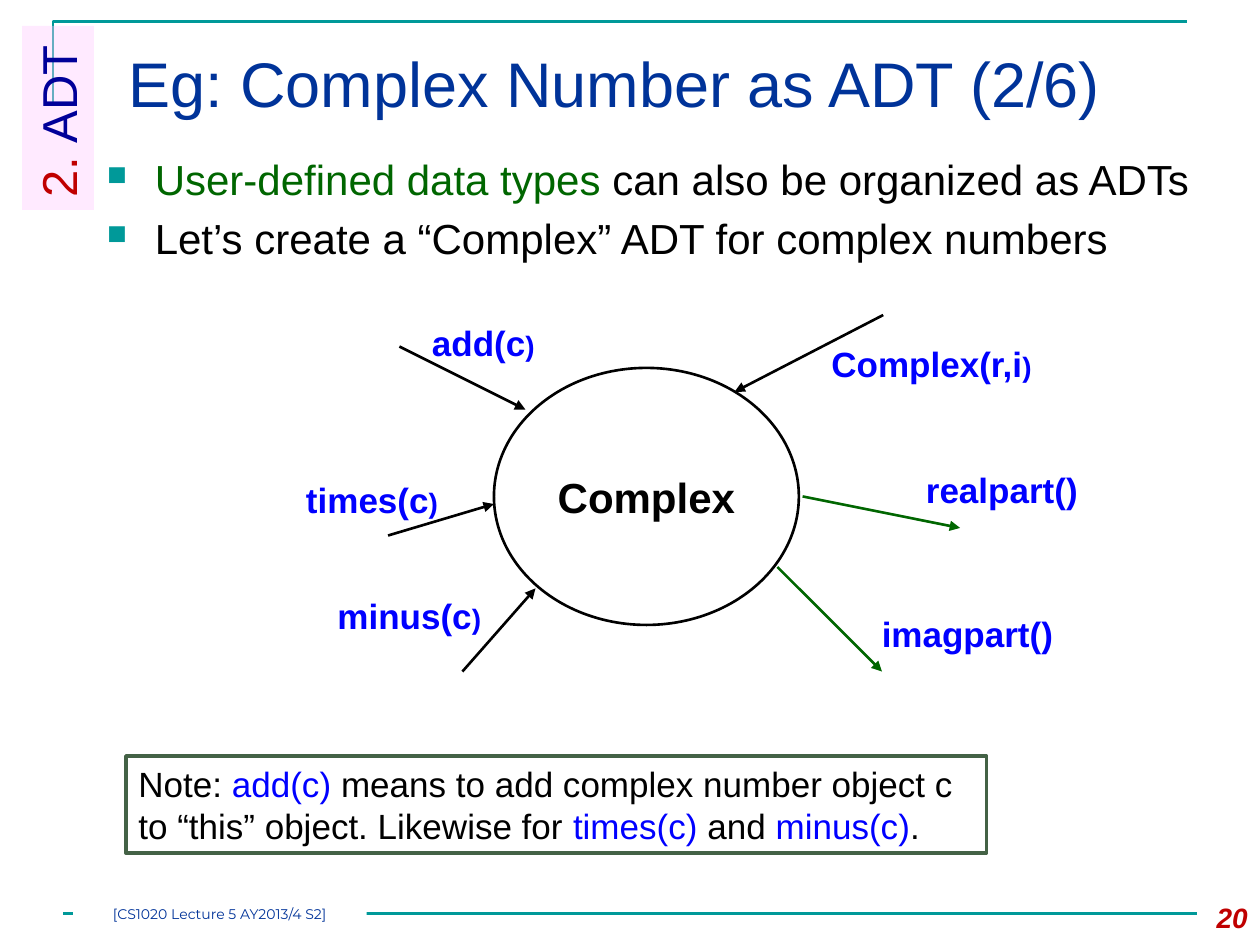
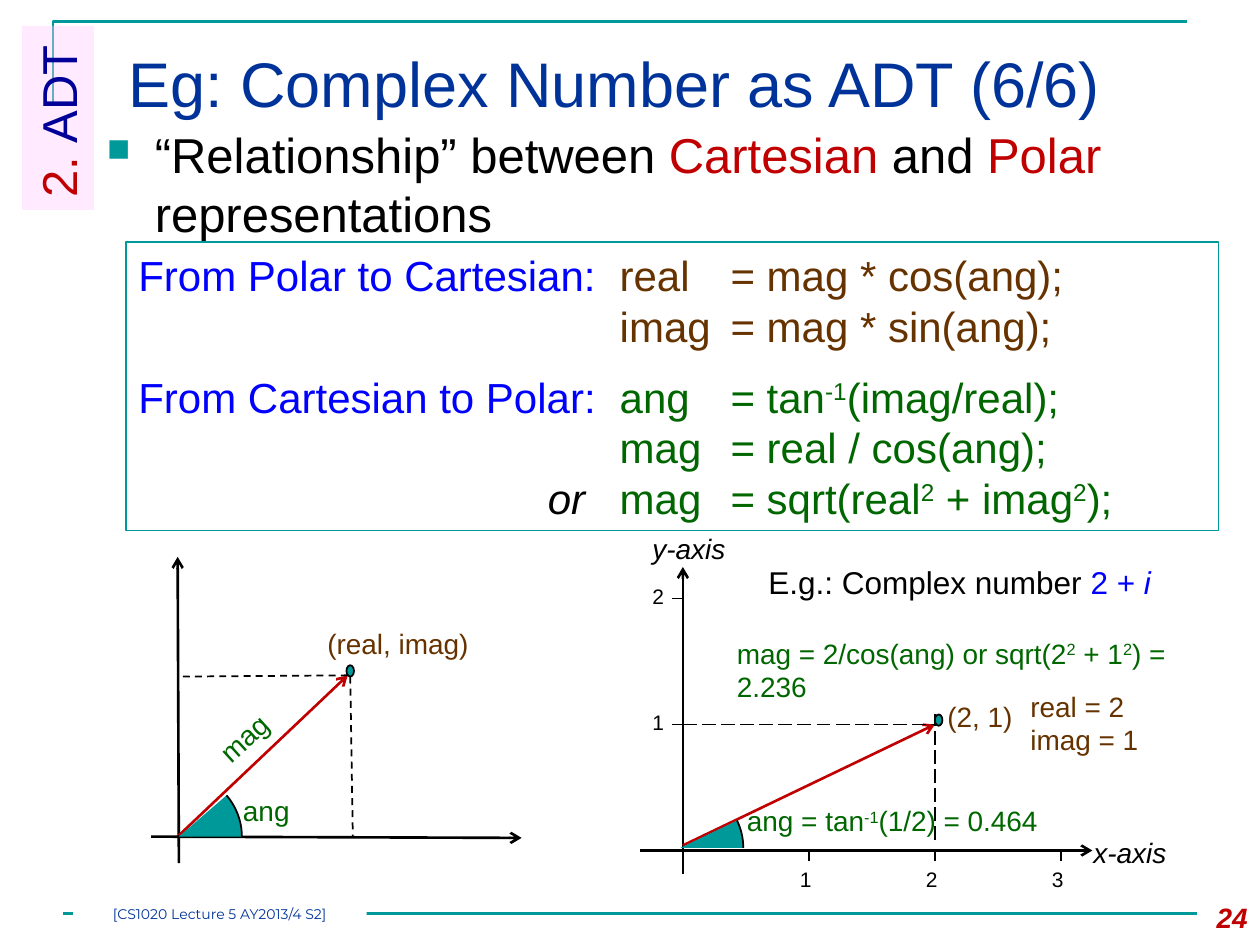
from lxml.etree import SubElement
from pptx import Presentation
from pptx.dml.color import RGBColor
from pptx.enum.dml import MSO_LINE
from pptx.enum.shapes import MSO_CONNECTOR, MSO_SHAPE
from pptx.enum.text import MSO_ANCHOR, MSO_AUTO_SIZE, PP_ALIGN
from pptx.oxml.ns import qn
from pptx.util import Inches, Pt

color = RGBColor.from_string
TEAL, NAVY, BLUE, RED = "009999", "003399", "0000FF", "C00000"
GREEN, BROWN, BLACK, WHITE = "006600", "663300", "000000", "FFFFFF"


def add_text(slide, box, paragraphs, size=16, ink=BLACK, font="Arial", bold=False,
             italic=False, align=PP_ALIGN.LEFT, anchor=MSO_ANCHOR.TOP, wrap=True,
             inset=None, rotation=0, shape_type=None, fill=None, alpha=None,
             outline=None, outline_width=1, bullet=None, tabs=(), space_before=0):
    """Paragraphs are a string or lists of (text, overrides) runs."""
    lengths = [Inches(value) for value in box]
    if shape_type is None:
        shape = slide.shapes.add_textbox(*lengths)
    else:
        shape = slide.shapes.add_shape(shape_type, *lengths)
        shape.shadow.inherit = False
        if fill:
            shape.fill.solid()
            shape.fill.fore_color.rgb = color(fill)
            if alpha:
                hue = shape.fill._xPr.find(".//" + qn("a:srgbClr"))
                SubElement(hue, qn("a:alpha"), val=str(alpha * 1000))
        else:
            shape.fill.background()
        if outline:
            shape.line.color.rgb = color(outline)
            shape.line.width = Pt(outline_width)
        else:
            shape.line.fill.background()
    shape.rotation = rotation

    frame = shape.text_frame
    frame.word_wrap = wrap
    frame.vertical_anchor = anchor
    if not wrap:
        frame.auto_size = MSO_AUTO_SIZE.SHAPE_TO_FIT_TEXT
    if inset is not None:
        frame.margin_left = frame.margin_right = Inches(inset)
        frame.margin_top = frame.margin_bottom = Inches(inset)

    if isinstance(paragraphs, str):
        paragraphs = [[(paragraphs, {})]]
    for index, runs in enumerate(paragraphs):
        paragraph = frame.paragraphs[0] if index == 0 else frame.add_paragraph()
        paragraph.alignment = align
        # A run list may open with a number: the space before, in points
        gap = space_before
        if not isinstance(runs[0], tuple):
            gap, *runs = runs
        paragraph.space_before = Pt(gap if index else 0)
        properties = paragraph._p.get_or_add_pPr()
        if bullet:
            properties.set("marL", str(Inches(0.38)))
            properties.set("indent", str(-Inches(0.38)))
            bullet_color = SubElement(properties, qn("a:buClr"))
            SubElement(bullet_color, qn("a:srgbClr"), val=TEAL)
            SubElement(properties, qn("a:buSzPct"), val="65000")
            SubElement(properties, qn("a:buChar"), char=bullet)
        if tabs:
            tab_list = SubElement(properties, qn("a:tabLst"))
            for stop in tabs[index]:
                SubElement(tab_list, qn("a:tab"), pos=str(Inches(stop)), algn="l")
        for text, overrides in runs:
            run = paragraph.add_run()
            run.text = text
            run.font.name = font
            run.font.size = Pt(overrides.get("size", size))
            run.font.bold = bold
            run.font.italic = overrides.get("italic", italic)
            run.font.color.rgb = color(overrides.get("ink", ink))
            if overrides.get("superscript"):
                run._r.get_or_add_rPr().set("baseline", "30000")
    return shape


def add_line(slide, start, end, ink=BLACK, width=1.5, head=None, dash=None):
    line = slide.shapes.add_connector(
        MSO_CONNECTOR.STRAIGHT, *[Inches(value) for value in (*start, *end)])
    line.line.color.rgb = color(ink)
    line.line.width = Pt(width)
    if dash:
        line.line.dash_style = dash
    if head:
        SubElement(line.line._get_or_add_ln(), qn("a:tailEnd"), type=head)
    SubElement(line._element.spPr, qn("a:effectLst"))


presentation = Presentation()
presentation.slide_width, presentation.slide_height = Inches(10), Inches(7.5)

# Frame, title, footer and section tab shared by both slides
slides = []
for part, number in (("2/6", "20"), ("6/6", "24")):
    slide = presentation.slides.add_slide(presentation.slide_layouts[6])
    slides.append(slide)
    builder = slide.shapes.build_freeform(Inches(0.42), Inches(0.83))
    builder.add_line_segments(
        [(Inches(0.42), Inches(0.17)), (Inches(9.42), Inches(0.17))], close=False)
    corner = builder.convert_to_shape()
    corner.shadow.inherit = False
    corner.fill.background()
    corner.line.color.rgb = color(TEAL)
    corner.line.width = Pt(1.5)
    add_line(slide, (0.5, 7.25), (9.5, 7.25), ink=TEAL)
    add_text(slide, (0.92, 0.25, 8.83, 0.8), f"Eg: Complex Number as ADT ({part})",
             size=36, ink=NAVY, anchor=MSO_ANCHOR.MIDDLE)
    add_text(slide, (0.58, 7.17, 2.33, 0.17), "[CS1020 Lecture 5 AY2013/4 S2]",
             size=8, ink=NAVY, font="Montserrat", align=PP_ALIGN.CENTER, inset=0,
             anchor=MSO_ANCHOR.MIDDLE, shape_type=MSO_SHAPE.RECTANGLE, fill=WHITE)
    add_text(slide, (9.33, 7.1, 0.67, 0.4), number, ink=RED, bold=True, italic=True,
             align=PP_ALIGN.RIGHT)
    add_text(slide, (-0.27, 0.65, 1.46, 0.57),
             [[("2. ", {"ink": RED}), ("ADT", {"ink": "000099"})]], size=28,
             rotation=270, shape_type=MSO_SHAPE.RECTANGLE, fill="FFCCFF", alpha=40)
operations_slide, conversion_slide = slides

# Operations: bullets and note
slide = operations_slide
add_text(slide, (0.75, 1.17, 8.92, 1.17), [
    [("User-defined data types ", {"ink": GREEN}), ("can also be organized as ADTs", {})],
    [("Let’s create a “Complex” ADT for complex numbers", {})],
], size=24, bullet="■", space_before=5)
call = {"ink": BLUE}
add_text(slide, (1, 6, 6.83, 0.77), [[
    ("Note: ", {}), ("add(c)", call),
    (" means to add complex number object c to “this” object. Likewise for ", {}),
    ("times(c)", call), (" and ", {}), ("minus(c)", call), (".", {}),
]], size=20, shape_type=MSO_SHAPE.RECTANGLE, fill=WHITE, outline="446246",
    outline_width=2)

# Operations: the Complex object and its methods
add_text(slide, (3.92, 2.92, 2.42, 2.04), "Complex", size=24, bold=True,
         align=PP_ALIGN.CENTER, anchor=MSO_ANCHOR.MIDDLE,
         shape_type=MSO_SHAPE.OVAL, outline=BLACK, outline_width=1.5)
methods = [
    # name, closing size, label box, arrow start, arrow end, arrow colour
    ("add(c", 16, (3.33, 2.5, 1.03), (3.17, 2.75), (4.17, 3.25), BLACK),
    ("times(c", 16, (2.33, 3.75, 1.25), (3.08, 4.25), (3.92, 4), BLACK),
    ("minus(c", 16, (2.58, 4.67, 1.34), (3.67, 5.33), (4.25, 4.67), BLACK),
    ("Complex(r,i", 16, (6.5, 2.67, 1.8), (7.01, 2.5), (5.83, 3.11), BLACK),
    ("realpart(", 20, (7.25, 3.67, 1.42), (6.37, 3.94), (7.62, 4.19), GREEN),
    ("imagpart(", 20, (6.9, 4.81, 1.57), (6.17, 4.5), (7, 5.33), GREEN),
]
for name, closing_size, label_box, start, end, ink in methods:
    add_line(slide, start, end, ink=ink, head="triangle")
    add_text(slide, (*label_box, 0.44), [[(name, {}), (")", {"size": closing_size})]],
             size=20, ink=BLUE, bold=True, wrap=False)

# Conversion: bullet and formulas
slide = conversion_slide
add_text(slide, (0.75, 0.94, 8.75, 1.06), [[
    ("“Relationship” between ", {}), ("Cartesian", {"ink": RED}), (" and ", {}),
    ("Polar", {"ink": RED}), (" representations", {}),
]], size=28, bullet="■")
brown, green = {"ink": BROWN}, {"ink": GREEN}
raised = {"ink": GREEN, "superscript": True}
columns = (3.82, 4.7)
add_text(slide, (1, 1.92, 8.67, 2.29), [
    [("From Polar to Cartesian:\t", call), ("real\t= mag * cos(ang);", brown)],
    [("\timag\t= mag * sin(ang);", brown)],
    [12, ("From Cartesian to Polar:\t", call), ("ang\t= tan", green), ("-1", raised),
     ("(imag/real);", green)],
    [("\tmag\t= real / cos(ang);", green)],
    [("\t", {}), ("or", {"italic": True}), ("\tmag\t= sqrt(real", green), ("2", raised),
     (" + imag", green), ("2", raised), (");", green)],
], size=24, tabs=[columns] * 4 + [(3.25, *columns)], anchor=MSO_ANCHOR.MIDDLE,
    shape_type=MSO_SHAPE.RECTANGLE, outline=TEAL, outline_width=0.75)

# Conversion: axes and vectors of both diagrams
for start, end, ink in (
    ((1.42, 6.85), (1.41, 4.42), BLACK),
    ((1.2, 6.64), (4.14, 6.65), BLACK),
    ((1.42, 6.63), (2.76, 5.36), RED),
    ((5.42, 6.94), (5.42, 4.5), BLACK),
    ((5.08, 6.75), (8.67, 6.75), BLACK),
    ((5.42, 6.71), (7.42, 5.75), RED),
):
    add_line(slide, start, end, ink=ink, head="arrow")

# Conversion: dashed projections
for start, end, dash in (
    ((2.78, 5.37), (2.8, 6.64), MSO_LINE.DASH),
    ((2.76, 5.36), (1.44, 5.37), MSO_LINE.DASH),
    ((5.42, 5.75), (7.42, 5.75), MSO_LINE.LONG_DASH),
    ((7.42, 6.67), (7.42, 5.67), MSO_LINE.LONG_DASH),
):
    add_line(slide, start, end, width=1, dash=dash)

# Conversion: end points and angle wedges (start angle in degrees)
for shape_type, box, angle in (
    (MSO_SHAPE.OVAL, (2.75, 5.28, 0.06, 0.09), None),
    (MSO_SHAPE.OVAL, (7.42, 5.67, 0.06, 0.09), None),
    (MSO_SHAPE.ARC, (0.92, 6.14, 1, 1), 319.13),
    (MSO_SHAPE.ARC, (4.9, 6.23, 1, 1), 334.25),
):
    shape = slide.shapes.add_shape(shape_type, *[Inches(value) for value in box])
    shape.shadow.inherit = False
    shape.fill.solid()
    shape.fill.fore_color.rgb = color(TEAL)
    shape.line.color.rgb = color(BLACK)
    shape.line.width = Pt(1)
    if angle:
        shape.adjustments[0] = angle * 0.6
        shape.adjustments[1] = 0

# Conversion: axis ticks and their numbers
for value in (1, 2, 3):
    x = 5.42 + value
    add_line(slide, (x, 6.75), (x, 6.83), width=1)
    add_text(slide, (x - 0.17, 6.83, 0.29, 0.3), str(value), size=12, wrap=False)
for value in (1, 2):
    y = 6.75 - value
    add_line(slide, (5.33, y), (5.42, y), width=0.75)
    add_text(slide, (5.08, y - 0.17, 0.29, 0.3), str(value), size=12, wrap=False)

# Conversion: diagram labels
for text, box, options in (
    ("ang", (1.83, 6.25, 0.58, 0.37), green),
    ("mag", (1.62, 5.67, 0.64, 0.37), {"ink": GREEN, "rotation": 317.8}),
    ("(real, imag)", (2.5, 4.92, 1.34, 0.37), brown),
    ("(2, 1)", (7.42, 5.5, 0.73, 0.37), brown),
    ("y-axis", (5.08, 4.17, 0.79, 0.37), {"italic": True}),
    ("x-axis", (8.58, 6.58, 0.79, 0.37), {"italic": True}),
    ([[("real = 2", {})], [("imag = 1", {})]], (8.08, 5.42, 1.07, 0.64), brown),
):
    add_text(slide, box, text, wrap=False, **options)

# Conversion: worked example
add_text(slide, (6, 4.42, 3.42, 0.4), [[
    ("E.g.: Complex number ", {}), ("2 + ", call), ("i", {"ink": BLUE, "italic": True}),
]], size=18)
add_text(slide, (5.75, 5, 3.67, 0.64), [[
    ("mag = 2/cos(ang) or sqrt(2", {}), ("2", raised), (" + 1", {}), ("2", raised),
    (") = 2.236", {}),
]], ink=GREEN)
add_text(slide, (5.83, 6.33, 2.67, 0.37), [[
    ("ang = tan", {}), ("-1", raised), ("(1/2) = 0.464", {}),
]], ink=GREEN)

presentation.save("out.pptx")
